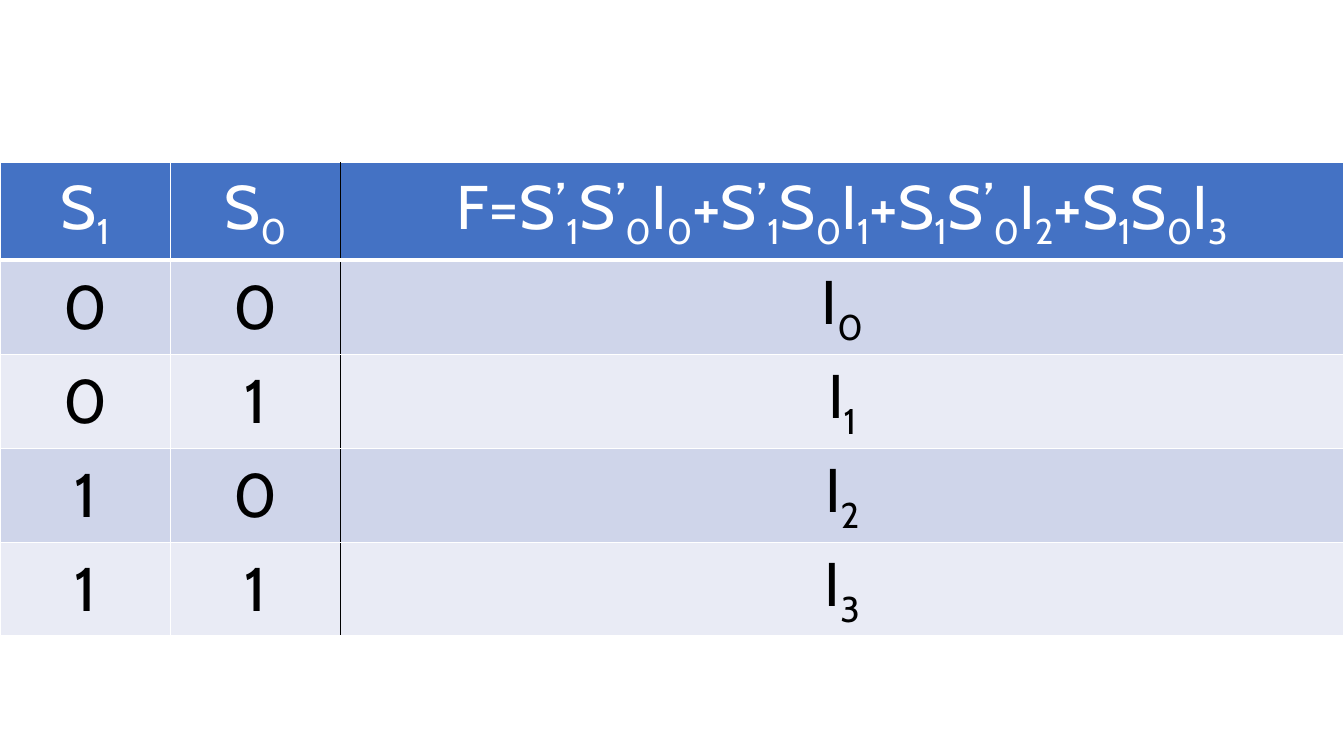
from dataclasses import dataclass

from lxml.etree import SubElement
from pptx import Presentation
from pptx.dml.color import RGBColor
from pptx.enum.text import MSO_ANCHOR, PP_ALIGN
from pptx.oxml.ns import qn
from pptx.util import Cm, Pt

# An underscore makes the next character a subscript.
TRUTH_TABLE = [
    ("S_1", "S_0", "F=S’_1S’_0I_0+S’_1S_0I_1+S_1S’_0I_2+S_1S_0I_3"),
    ("0", "0", "I_0"),
    ("0", "1", "I_1"),
    ("1", "0", "I_2"),
    ("1", "1", "I_3"),
]


@dataclass(frozen=True)
class Theme:
    font: str = "Cabin"
    size: int = 44
    header_fill: str = "4472C4"
    header_text: str = "FFFFFF"
    body_text: str = "000000"
    bands: tuple = ("CFD5EA", "E9EBF5")
    grid: str = "FFFFFF"
    divider: str = "000000"
    thin: int = 1
    thick: int = 3


THEME = Theme()
SLIDE_WIDTH, SLIDE_HEIGHT = Cm(33.87), Cm(19.05)
TABLE_TOP, TABLE_HEIGHT = Cm(4.1), Cm(10.92)
SELECT_WIDTH = Cm(4.29)
HEADER_HEIGHT, BODY_HEIGHT = Cm(2.46), Cm(1.91)
SUBSCRIPT = "-25000"


def write_text(cell, text, *, color, size=THEME.size, font=THEME.font):
    """Fill a cell with centred text, lowering each character after an underscore."""
    cell.vertical_anchor = MSO_ANCHOR.MIDDLE
    paragraph = cell.text_frame.paragraphs[0]
    paragraph.alignment = PP_ALIGN.CENTER
    first, *rest = text.split("_")
    pieces = [(first, False)]
    for part in rest:
        pieces += [(part[0], True), (part[1:], False)]
    for content, lowered in pieces:
        if not content:
            continue
        run = paragraph.add_run()
        run.text = content
        run.font.name = font
        run.font.size = Pt(size)
        run.font.bold = False
        run.font.color.rgb = RGBColor.from_string(color)
        if lowered:
            run.font._element.set("baseline", SUBSCRIPT)


def set_borders(cell, borders):
    """Draw borders given as (side, colour, points), in the order L, R, T, B."""
    properties = cell._tc.get_or_add_tcPr()
    for index, (side, color, points) in enumerate(borders):
        line = SubElement(properties, qn(f"a:ln{side}"), w=str(Pt(points)))
        fill = SubElement(line, qn("a:solidFill"))
        SubElement(fill, qn("a:srgbClr"), val=color)
        properties.insert(index, line)


def format_cell(cell, text, row, column):
    is_header = row == 0
    write_text(cell, text, color=THEME.header_text if is_header else THEME.body_text)
    cell.fill.solid()
    fill = THEME.header_fill if is_header else THEME.bands[(row - 1) % 2]
    cell.fill.fore_color.rgb = RGBColor.from_string(fill)
    set_borders(cell, [
        ("L", THEME.divider if column == 2 else THEME.grid, THEME.thin),
        ("R", THEME.divider if column == 1 else THEME.grid, THEME.thin),
        ("T", THEME.grid, THEME.thick if row == 1 else THEME.thin),
        ("B", THEME.grid, THEME.thick if is_header else THEME.thin),
    ])


def add_truth_table(slide):
    frame = slide.shapes.add_table(
        len(TRUTH_TABLE), len(TRUTH_TABLE[0]), 0, TABLE_TOP, SLIDE_WIDTH, TABLE_HEIGHT)
    table = frame.table
    widths = (SELECT_WIDTH, SELECT_WIDTH, SLIDE_WIDTH - 2 * SELECT_WIDTH)
    for column, width in zip(table.columns, widths):
        column.width = width
    for row, texts in enumerate(TRUTH_TABLE):
        table.rows[row].height = BODY_HEIGHT if row else HEADER_HEIGHT
        for column, text in enumerate(texts):
            format_cell(table.cell(row, column), text, row, column)
    frame.height = TABLE_HEIGHT


def main():
    presentation = Presentation()
    presentation.slide_width = SLIDE_WIDTH
    presentation.slide_height = SLIDE_HEIGHT
    slide = presentation.slides.add_slide(presentation.slide_layouts[6])
    add_truth_table(slide)
    presentation.save("out.pptx")


if __name__ == "__main__":
    main()
